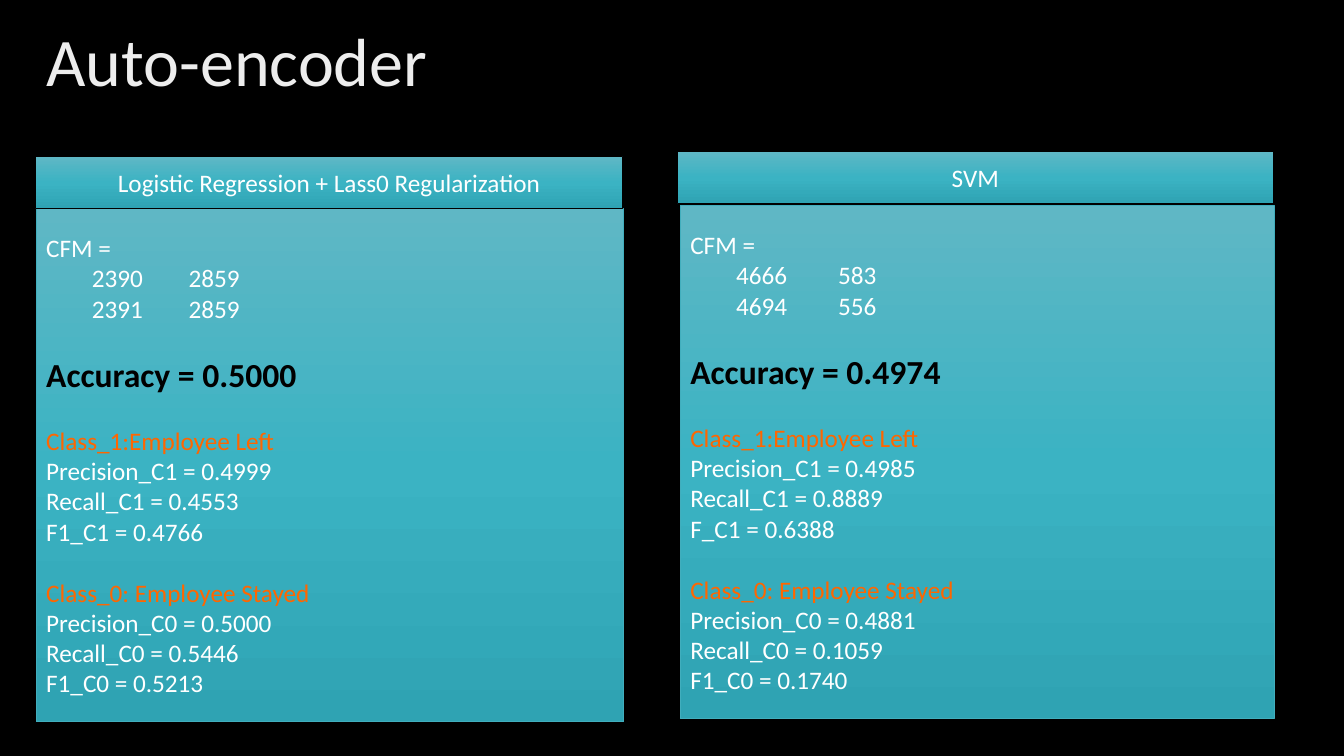
"""Build the Auto-encoder slide comparing two classifiers."""
from copy import deepcopy
from dataclasses import dataclass

from lxml.etree import SubElement as Sub
from pptx import Presentation
from pptx.dml.color import RGBColor as Rgb
from pptx.enum.shapes import MSO_SHAPE as Kind
from pptx.enum.text import MSO_ANCHOR as Anchor, PP_ALIGN as Align
from pptx.oxml.ns import qn
from pptx.util import Emu, Inches, Pt


@dataclass(frozen=True)
class Theme:
    font: str = "Calibri"
    back: str = "000000"
    text: str = "FFFFFF"
    dark: str = "000000"
    class_: str = "FF6600"
    edge: str = "41AEBD"
    teal: tuple = ((0, "5FB7C5"), (0.5, "3BB3C3"), (1, "2FA3B3"))
    shine: tuple = ((0, "BFBFBF"), (0.28, "EDEDED"), (1, "FFFFFF"))
    title: float = 48.6
    big: float = 24
    body: float = 18
    gap: float = 22
    rule: float = 0.5


@dataclass(frozen=True)
class Box:
    col: float
    row: float
    cols: float
    rows: float


@dataclass(frozen=True)
class Model:
    name: str
    head: Box
    panel: Box
    cells: tuple
    stops: tuple
    score: str
    left: tuple
    stay: tuple


THEME = Theme()
WIDE, HIGH = Inches(13.33), Inches(7.5)
COLS, ROWS = 160, 90

MODELS = (
    Model("Logistic Regression + Lass0 Regularization",
          Box(4.2, 18.6, 69.96, 6.24), Box(4.32, 24.84, 69.96, 61.08),
          (("2390", "2859"), ("2391", "2859")), (5.45, 16.95),
          "Accuracy = 0.5000",
          ("Precision_C1 = 0.4999", "Recall_C1 = 0.4553", "F1_C1 = 0.4766"),
          ("Precision_C0 = 0.5000", "Recall_C0 = 0.5446", "F1_C0 = 0.5213")),
    Model("SVM",
          Box(80.64, 18, 70.92, 6.24), Box(81, 24.48, 70.68, 61.08),
          (("4666", "583"), ("4694", "556")), (5.45, 17.6),
          "Accuracy = 0.4974",
          ("Precision_C1 = 0.4985", "Recall_C1 = 0.8889", "F_C1 = 0.6388"),
          ("Precision_C0 = 0.4881", "Recall_C0 = 0.1059", "F1_C0 = 0.1740")),
)


def span(box: Box) -> tuple:
    return (Emu(int(box.col * WIDE / COLS)), Emu(int(box.row * HIGH / ROWS)),
            Emu(int(box.cols * WIDE / COLS)), Emu(int(box.rows * HIGH / ROWS)))


def blend(fill, node, stops: tuple, angle: float) -> None:
    fill.gradient()
    fill.gradient_angle = 360 - angle
    ramp = next(node.iter(qn("a:gsLst")))
    ramp.insert(1, deepcopy(ramp[0]))
    for stop, (place, tint) in zip(fill.gradient_stops, stops):
        stop.position = place
        stop.color.rgb = Rgb.from_string(tint)


def block(slide, box: Box, edge: str):
    shape = slide.shapes.add_shape(Kind.RECTANGLE, *span(box))
    shape.shadow.inherit = False
    blend(shape.fill, shape._element, THEME.teal, 90)
    shape.line.color.rgb = Rgb.from_string(edge)
    shape.line.width = Pt(THEME.rule)
    frame = shape.text_frame
    frame.word_wrap = True
    frame.vertical_anchor = Anchor.MIDDLE
    return frame


def write(para, text: str, size: float, tint: str, bold: bool = False):
    run = para.add_run()
    run.text = text
    font = run.font
    font.name, font.size, font.bold = THEME.font, Pt(size), bold
    font.color.rgb = Rgb.from_string(tint)
    return run


def line(frame, text: str, tint: str = THEME.text, size: float = THEME.body,
         bold: bool = False, gap: float = 0):
    first = frame.paragraphs[0]
    para = frame.add_paragraph() if first.runs else first
    para.alignment = Align.LEFT
    para.space_before = Pt(gap)
    write(para, text, size, tint, bold)
    return para


def panel(slide, model: Model) -> None:
    frame = block(slide, model.panel, THEME.edge)
    line(frame, "CFM =")
    for pair in model.cells:
        para = line(frame, "\t" + "\t".join(pair))
        tabs = Sub(para._p.get_or_add_pPr(), qn("a:tabLst"))
        for stop in model.stops:
            Sub(tabs, qn("a:tab"), pos=str(int(stop * WIDE / COLS)), algn="l")
    line(frame, model.score, THEME.dark, THEME.big, True, THEME.gap)
    groups = (("Class_1:Employee Left", model.left),
              ("Class_0: Employee Stayed", model.stay))
    for label, rates in groups:
        line(frame, label, THEME.class_, gap=THEME.gap)
        for rate in rates:
            line(frame, rate)


def head(slide, model: Model) -> None:
    para = block(slide, model.head, THEME.back).paragraphs[0]
    para.alignment = Align.CENTER
    write(para, model.name, THEME.body, THEME.text)


def title(slide, text: str, box: Box) -> None:
    shape = slide.shapes.title
    shape.left, shape.top, shape.width, shape.height = span(box)
    frame = shape.text_frame
    frame.vertical_anchor = Anchor.MIDDLE
    para = frame.paragraphs[0]
    para.alignment = Align.LEFT
    para.line_spacing = 0.9
    run = write(para, text, THEME.title, THEME.text)
    blend(run.font.fill, run._r, THEME.shine, 80)


def main() -> None:
    deck = Presentation()
    deck.slide_width, deck.slide_height = WIDE, HIGH
    slide = deck.slides.add_slide(deck.slide_layouts[5])
    back = slide.background.fill
    back.solid()
    back.fore_color.rgb = Rgb.from_string(THEME.back)
    title(slide, "Auto-encoder", Box(4.32, 2.76, 84.36, 9.84))
    for draw in (panel, head):
        for model in MODELS:
            draw(slide, model)
    deck.save("out.pptx")


if __name__ == "__main__":
    main()
